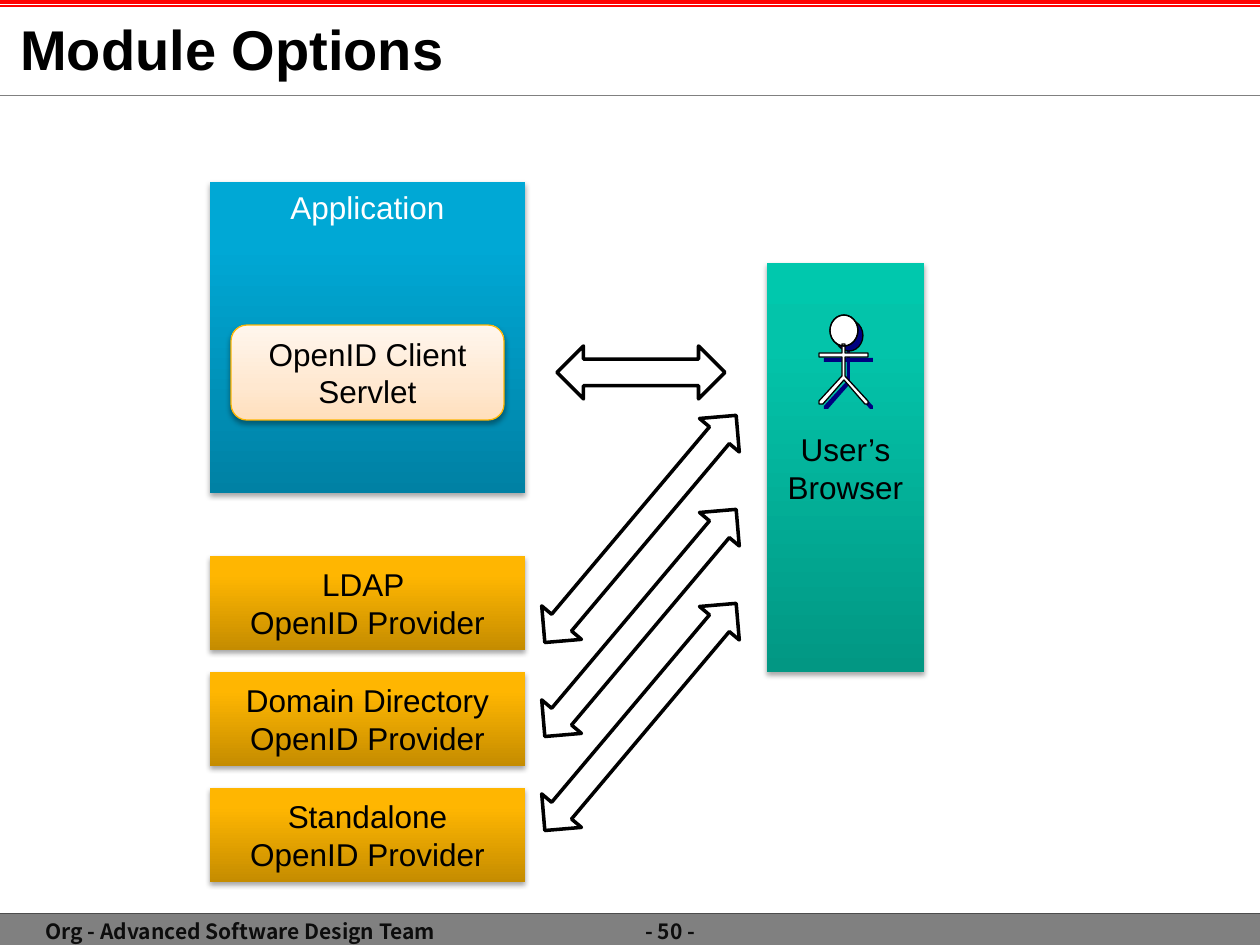
import copy

import lxml.etree
import pptx
import pptx.dml.color
import pptx.enum.shapes
import pptx.enum.text
import pptx.oxml.ns
import pptx.util

RGB = pptx.dml.color.RGBColor
KIND = pptx.enum.shapes.MSO_SHAPE
ANCHOR = pptx.enum.text.MSO_ANCHOR
ALIGN = pptx.enum.text.PP_ALIGN
qn = pptx.oxml.ns.qn

EMU_PER_PX = 914400 / 126
BLACK = RGB(0x00, 0x00, 0x00)
WHITE = RGB(0xFF, 0xFF, 0xFF)
RED = RGB(0xFF, 0x00, 0x00)
GREY = RGB(0x80, 0x80, 0x80)
DARK_GREY = RGB(0x4D, 0x4D, 0x4D)
TITLE_SHADOW = RGB(0xC0, 0xC0, 0xC0)
FOOTER_INK = RGB(0x0D, 0x0D, 0x0D)
NAVY = RGB(0x00, 0x00, 0x80)
GOLD_EDGE = RGB(0xFE, 0xB6, 0x04)
BLUE_FADE = (0, RGB(0x00, 0x81, 0xA4)), (0.8, RGB(0x00, 0xA8, 0xD5)), (1, RGB(0x00, 0xA8, 0xD6))
CREAM_FADE = (0, RGB(0xFF, 0xDF, 0xBC)), (0.35, RGB(0xFF, 0xE8, 0xD0)), (1, RGB(0xFF, 0xF6, 0xED))
GOLD_FADE = (0, RGB(0xC5, 0x8C, 0x00)), (0.8, RGB(0xFF, 0xB6, 0x01)), (1, RGB(0xFF, 0xB6, 0x02))
GREEN_FADE = (0, RGB(0x02, 0x97, 0x83)), (0.8, RGB(0x03, 0xC4, 0xAA)), (1, RGB(0x00, 0xC8, 0xAD))

STICK_BODY = [
    (26, 0), (26, 9), (49, 9), (49, 13), (26, 13), (26, 32), (49, 57),
    (49, 60), (46, 60), (25, 36), (4, 60), (0, 60), (0, 57), (23, 32),
    (23, 13), (0, 13), (0, 9), (23, 9), (23, 0),
]


def px(length):
    return pptx.util.Emu(round(length * EMU_PER_PX))


def paint(shape, fill, line=None, width=0.75):
    shape.shadow.inherit = False
    if fill is None:
        shape.fill.background()
    else:
        shape.fill.solid()
        shape.fill.fore_color.rgb = fill
    if line is None:
        shape.line.fill.background()
    else:
        shape.line.color.rgb = line
        shape.line.width = pptx.util.Pt(width)


def fade(shape, stops):
    shape.fill.gradient()
    shape.fill.gradient_angle = 90
    stop_list = shape._element.spPr.find(".//" + qn("a:gsLst"))
    stop_list.append(copy.deepcopy(stop_list[-1]))
    for stop, (position, colour) in zip(shape.fill.gradient_stops, stops):
        stop.position = position
        stop.color.rgb = colour


def cast_shadow(effects, colour, opacity, blur, distance, angle):
    shadow = lxml.etree.SubElement(
        effects, qn("a:outerShdw"), blurRad=str(pptx.util.Pt(blur)),
        dist=str(pptx.util.Pt(distance)), dir=str(angle * 60000),
        algn="ctr", rotWithShape="0")
    tint = lxml.etree.SubElement(shadow, qn("a:srgbClr"), val=str(colour))
    lxml.etree.SubElement(tint, qn("a:alpha"), val=str(opacity * 1000))


def write(frame, lines, size, colour, font="Arial", bold=False, align=ALIGN.CENTER):
    for number, line in enumerate(lines):
        paragraph = frame.add_paragraph() if number else frame.paragraphs[0]
        paragraph.alignment = align
        run = paragraph.add_run()
        run.text = line
        run.font.size = pptx.util.Pt(size)
        run.font.bold = bold
        run.font.color.rgb = colour
        run.font.name = font


def set_margins(frame, across, down):
    frame.margin_left = frame.margin_right = px(across)
    frame.margin_top = frame.margin_bottom = px(down)


def add_bar(slide, left, top, width, height, colour):
    bar = slide.shapes.add_shape(KIND.RECTANGLE, px(left), px(top), px(width), px(height))
    paint(bar, colour)


def add_rule(slide, left, top, width, colour, weight):
    rule = slide.shapes.add_connector(
        pptx.enum.shapes.MSO_CONNECTOR.STRAIGHT, px(left), px(top), px(left + width), px(top))
    rule.line.color.rgb = colour
    rule.line.width = pptx.util.Pt(weight)
    lxml.etree.SubElement(rule._element.spPr, qn("a:effectLst"))


def add_header(slide, left, top, width, height):
    add_bar(slide, left, top, width, 4, RED)
    add_rule(slide, left, top + height, width, GREY, 0.5)
    add_rule(slide, left, top + 6, width, RED, 0.75)
    title = slide.shapes.add_textbox(px(left + 8), px(top), px(1099), px(height + 1))
    frame = title.text_frame
    frame.word_wrap = True
    frame.vertical_anchor = ANCHOR.MIDDLE
    write(frame, ["Module Options"], 32, BLACK, bold=True, align=ALIGN.LEFT)
    properties = frame.paragraphs[0].runs[0]._r.rPr
    effects = lxml.etree.Element(qn("a:effectLst"))
    properties.find(qn("a:latin")).addprevious(effects)
    cast_shadow(effects, TITLE_SHADOW, 100, 0, 2, 45)


def add_footer(slide, left, top, width, height):
    add_bar(slide, left, top, width, height, GREY)
    add_rule(slide, left, top, width, DARK_GREY, 0.5)
    for inset, span, words in (42, 397, "Org - Advanced Software Design Team"), (620, 105, "- 50 - "):
        note = slide.shapes.add_textbox(px(left + inset), px(top + 6), px(span), px(25))
        note.text_frame.word_wrap = True
        set_margins(note.text_frame, 0, 0)
        write(note.text_frame, [words], 12, FOOTER_INK, "Noto Sans CJK JP", True)


def add_block(slide, left, top, width, height, stops, lines, ink=BLACK,
              anchor=ANCHOR.MIDDLE, kind=KIND.RECTANGLE, edge=None):
    block = slide.shapes.add_shape(kind, px(left), px(top), px(width), px(height))
    paint(block, WHITE, edge)
    fade(block, stops)
    cast_shadow(block._element.spPr.find(qn("a:effectLst")), BLACK, 35, 3.1, 1.8, 90)
    block.text_frame.vertical_anchor = anchor
    block.text_frame.word_wrap = True
    set_margins(block.text_frame, 5, 6)
    write(block.text_frame, lines, 18, ink)


def add_application(slide, left, top, width, height):
    add_block(slide, left, top, width, height, BLUE_FADE, ["Application"], WHITE, ANCHOR.TOP)
    add_block(slide, left + 21, top + 143, width - 42, 95, CREAM_FADE,
              ["OpenID Client", "Servlet"], kind=KIND.ROUNDED_RECTANGLE, edge=GOLD_EDGE)


def add_providers(slide, left, top, width, height):
    names = ["LDAP ", "Domain Directory", "Standalone"]
    row_height = 94
    step = (height - row_height) // (len(names) - 1)
    for row, name in enumerate(names):
        add_block(slide, left, top + row * step, width, row_height, GOLD_FADE,
                  [name, "OpenID Provider"])


def add_arrow(slide, left, top, width, height, turn=0):
    arrow = slide.shapes.add_shape(
        KIND.LEFT_RIGHT_ARROW, px(left), px(top), px(width), px(height))
    paint(arrow, WHITE, BLACK, 2)
    arrow.rotation = turn


def add_exchanges(slide, left, top):
    add_arrow(slide, left + 65, top, 168, 53)
    for row in range(3):
        add_arrow(slide, left, top + 157 + row * 94, 297, 52, 310.1)


def add_user(slide, left, top):
    user = slide.shapes.add_group_shape()
    layers = [(5, NAVY, None, 0), (0, WHITE, None, 0), (0, None, BLACK, 0.75)]
    for shift, fill, body_line, weight in layers:
        outline = user.shapes.build_freeform(*STICK_BODY[0], scale=EMU_PER_PX)
        outline.add_line_segments(STICK_BODY[1:], close=True)
        body = outline.convert_to_shape(px(left + shift), px(top + 29 + shift))
        paint(body, fill, body_line, weight)
        head = user.shapes.add_shape(
            KIND.OVAL, px(left + 11 + shift), px(top + shift), px(28), px(31))
        paint(head, fill, BLACK, weight)


def add_browser(slide, left, top, width, height):
    add_block(slide, left, top, width, height, GREEN_FADE, ["User’s", "Browser"])
    add_user(slide, left + 52, top + 52)


def main():
    deck = pptx.Presentation()
    deck.slide_width, deck.slide_height = px(1260), px(945)
    slide = deck.slides.add_slide(deck.slide_layouts[6])
    add_header(slide, 0, 0, 1260, 95)
    add_footer(slide, 0, 913, 1260, 32)
    add_application(slide, 210, 182, 315, 311)
    add_providers(slide, 210, 556, 315, 326)
    add_browser(slide, 767, 263, 157, 409)
    add_exchanges(slide, 492, 346)
    deck.save("out.pptx")


if __name__ == "__main__":
    main()
